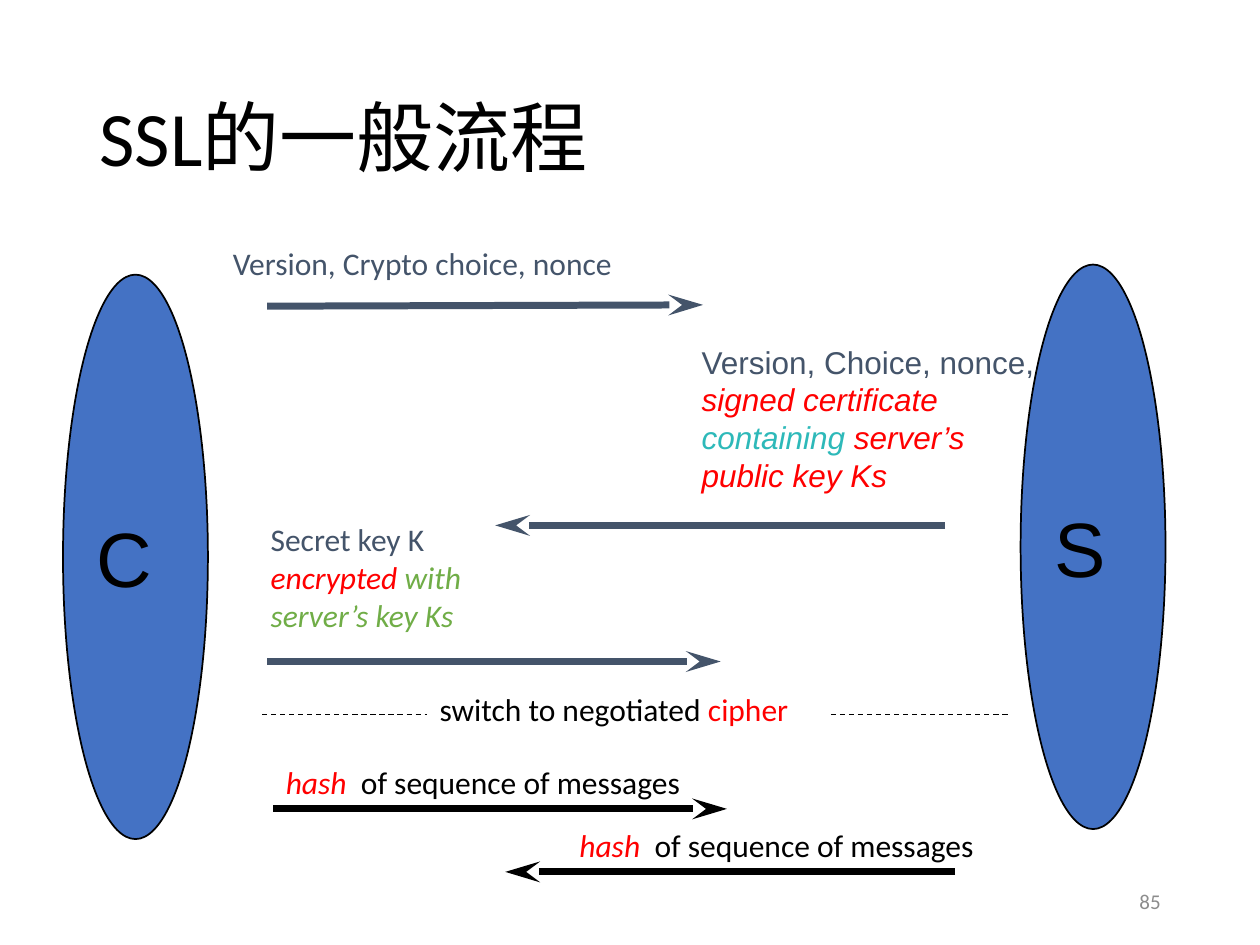
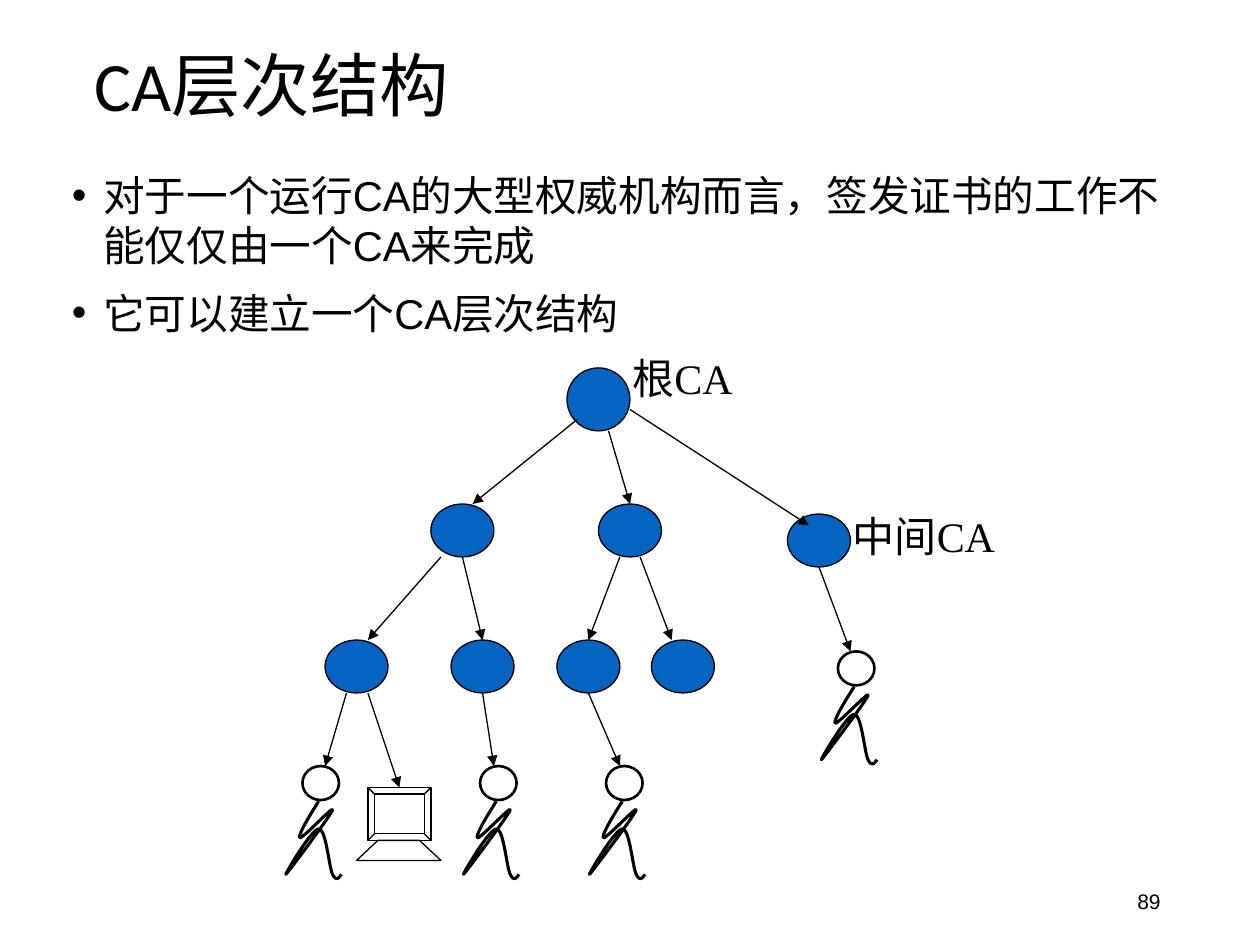
"""Build two slides: the SSL handshake and the CA hierarchy."""
import lxml.etree
import pptx
import pptx.dml.color
import pptx.enum.dml
import pptx.enum.shapes
import pptx.enum.text
import pptx.oxml.ns
import pptx.util

Inches = pptx.util.Inches
Pt = pptx.util.Pt
RGBColor = pptx.dml.color.RGBColor
SHAPE = pptx.enum.shapes.MSO_SHAPE
ALIGN = pptx.enum.text.PP_ALIGN
ANCHOR = pptx.enum.text.MSO_ANCHOR
FIT = pptx.enum.text.MSO_AUTO_SIZE
qn = pptx.oxml.ns.qn

BLACK = RGBColor(0x00, 0x00, 0x00)
WHITE = RGBColor(0xFF, 0xFF, 0xFF)
SLATE = RGBColor(0x44, 0x54, 0x6A)
RED = RGBColor(0xFF, 0x00, 0x00)
TEAL = RGBColor(0x2D, 0xB9, 0xB9)
GREEN = RGBColor(0x70, 0xAD, 0x47)
GRAY = RGBColor(0x8C, 0x8C, 0x8C)
BLUE = RGBColor(0x44, 0x72, 0xC4)
NAVY = RGBColor(0x05, 0x63, 0xC1)


def write(shape, lines, size, face, align=ALIGN.LEFT):
    """Fill a shape with lines, each a list of (text, colour, italic) runs."""
    frame = shape.text_frame
    for i, runs in enumerate(lines):
        para = frame.add_paragraph() if i else frame.paragraphs[0]
        para.alignment = align
        for text, color, slant in runs:
            run = para.add_run()
            run.text = text
            run.font.size = Pt(size)
            run.font.name = face
            run.font.italic = slant
            run.font.color.rgb = color
    return frame


def link(shapes, start, end, color, width, tip=None, length="med"):
    """Draw a straight line, with an arrowhead of type tip at its end."""
    line = shapes.add_connector(
        pptx.enum.shapes.MSO_CONNECTOR.STRAIGHT,
        *[Inches(v) for v in (*start, *end)])
    line.line.color.rgb = color
    line.line.width = Pt(width)
    props = line.element.spPr
    if tip:
        lxml.etree.SubElement(
            props.find(qn("a:ln")), qn("a:tailEnd"), type=tip, len=length)
    lxml.etree.SubElement(props, qn("a:effectLst"))
    return line


deck = pptx.Presentation()
deck.slide_width = Inches(10)
deck.slide_height = Inches(7.5)

pages = []
for layout, title, box, size, number, face, color in [
        (5, "SSL的一般流程", (0.69, 0.4, 8.62, 1.45), 44, "85", "Calibri", GRAY),
        (1, "CA层次结构", (0.65, 0.35, 8.5, 0.71), 39.6, "89", "Arial", BLACK)]:
    page = deck.slides.add_slide(deck.slide_layouts[layout])
    pages.append(page)
    head = page.shapes.title
    head.left, head.top, head.width, head.height = [Inches(v) for v in box]
    frame = write(head, [[(title, BLACK, False)]], size, "Calibri")
    frame.auto_size = FIT.NONE
    frame.vertical_anchor = ANCHOR.MIDDLE
    frame.paragraphs[0].line_spacing = 0.9
    foot = page.shapes.add_textbox(Inches(7.06), Inches(6.95), Inches(2.25), Inches(0.4))
    frame = write(foot, [[(number, color, False)]], 12, face, ALIGN.RIGHT)
    frame.word_wrap = True
    frame.vertical_anchor = ANCHOR.MIDDLE
flow, tree = pages

for name, left, top in [("C", 0.5, 2.18), ("S", 8.1, 2.1)]:
    peer = flow.shapes.add_shape(
        SHAPE.OVAL, Inches(left), Inches(top), Inches(1.15), Inches(4.48))
    peer.shadow.inherit = False
    peer.fill.solid()
    peer.fill.fore_color.rgb = BLUE
    peer.line.color.rgb = BLACK
    peer.line.width = Pt(1)
    frame = write(peer, [[(name, BLACK, False)]], 44, "Arial")
    frame.word_wrap = False
    frame.vertical_anchor = ANCHOR.MIDDLE

for start, end, color in [
        ((2.12, 2.43), (5.58, 2.42), SLATE),
        ((7.5, 4.17), (3.93, 4.17), SLATE),
        ((2.12, 5.25), (5.72, 5.25), SLATE),
        ((2.17, 6.42), (5.77, 6.42), BLACK),
        ((7.58, 6.92), (4.01, 6.92), BLACK)]:
    link(flow.shapes, start, end, color, 4, "stealth", "lg")
dash = link(flow.shapes, (2.08, 5.67), (8, 5.67), BLACK, 0.75)
dash.line.dash_style = pptx.enum.dml.MSO_LINE.DASH

hash_line = [[("hash  ", RED, True), ("of sequence of messages", BLACK, False)]]
for box, face, lines in [
        ((1.75, 1.89, 3.55, 0.4), "Calibri",
         [[("Version, Crypto choice, nonce", SLATE, False)]]),
        ((5.47, 2.67, 2.87, 1.49), "Arial",
         [[("Version, Choice, nonce,", SLATE, False)],
          [("signed certificate", RED, True)],
          [("containing ", TEAL, True), ("server’s", RED, True)],
          [("public key Ks", RED, True)]]),
        ((2.05, 4.08, 1.96, 1.13), "Calibri",
         [[("Secret key K", SLATE, False)],
          [("encrypted ", RED, True), ("with", GREEN, True)],
          [("server’s key Ks", GREEN, True)]]),
        ((3.39, 5.43, 3.19, 0.4), "Calibri",
         [[("switch to negotiated ", BLACK, False), ("cipher", RED, False)]]),
        ((2.17, 6.01, 3.69, 0.4), "Calibri", hash_line),
        ((4.5, 6.51, 3.69, 0.4), "Calibri", hash_line)]:
    note = flow.shapes.add_textbox(*[Inches(v) for v in box])
    frame = write(note, lines, 18, face)
    frame.word_wrap = False
    frame.auto_size = FIT.SHAPE_TO_FIT_TEXT
    if "switch" in frame.text:
        note.fill.solid()
        note.fill.fore_color.rgb = WHITE

body = tree.placeholders[1]
body.left, body.top, body.width, body.height = [
    Inches(v) for v in (0.47, 1.3, 8.97, 1.5)]
frame = write(body, [
    [("对于一个运行CA的大型权威机构而言，签发证书的工作不能仅仅由一个CA来完成", BLACK, False)],
    [("它可以建立一个CA层次结构", BLACK, False)]], 23.8, "Arial")
frame.auto_size = FIT.NONE
for i, para in enumerate(frame.paragraphs):
    props = para._p.get_or_add_pPr()
    props.set("marL", str(Inches(0.25)))
    props.set("indent", str(-Inches(0.25)))
    lxml.etree.SubElement(props, qn("a:buFont"), typeface="Arial")
    lxml.etree.SubElement(props, qn("a:buChar"), char="•")
    para.space_before = Pt(10 if i else 0)

chart = tree.shapes.add_group_shape().shapes
users = [(2.4, 6.08), (3.81, 6.08), (4.81, 6.08), (6.65, 5.17)]
nodes = [(4.5, 2.92, 0.5)]
nodes += [(x, y, 0.42) for x, y in [
    (3.42, 4), (4.75, 4), (6.25, 4.08),
    (2.58, 5.08), (3.58, 5.08), (4.42, 5.08), (5.17, 5.08)]]
parts = [(SHAPE.OVAL, x, y, 0.5, h, NAVY, 0.75) for x, y, h in nodes]
parts += [(SHAPE.OVAL, x, y, 0.29, 0.27, None, 1.5) for x, y in users]
parts += [(SHAPE.BEVEL, 2.92, 6.25, 0.5, 0.42, None, 0.75)]
for kind, x, y, w, h, fill, width in parts:
    part = chart.add_shape(kind, Inches(x), Inches(y), Inches(w), Inches(h))
    part.shadow.inherit = False
    if fill:
        part.fill.solid()
        part.fill.fore_color.rgb = fill
    else:
        part.fill.background()
    part.line.color.rgb = BLACK
    part.line.width = Pt(width)

limbs = [
    (0.13, 0.28),
    (0.04, 0.42), (-0.04, 0.56), (-0.02, 0.57),
    (0, 0.58), (0.26, 0.3), (0.24, 0.35),
    (0.22, 0.4), (-0.11, 0.84), (-0.13, 0.86),
    (-0.15, 0.88), (0.07, 0.5), (0.13, 0.5),
    (0.19, 0.5), (0.21, 0.8), (0.24, 0.86),
    (0.27, 0.92), (0.29, 0.89), (0.31, 0.86)]
stand = [(2.83, 6.83), (3, 6.67), (3.33, 6.67), (3.5, 6.83)]
drawn = [([(x + a, y + b) for a, b in limbs], 1.75, True) for x, y in users]
drawn.append((stand, 0.75, False))
for points, width, curved in drawn:
    spots = [(Inches(x), Inches(y)) for x, y in points]
    maker = chart.build_freeform(*spots[0])
    maker.add_line_segments(spots[1:], close=not curved)
    form = maker.convert_to_shape()
    form.shadow.inherit = False
    form.fill.background()
    form.line.color.rgb = BLACK
    form.line.width = Pt(width)
    if curved:
        steps = list(form.element.iter(qn("a:lnTo")))
        for i in range(0, len(steps), 3):
            outline = steps[i].getparent()
            curve = lxml.etree.SubElement(outline, qn("a:cubicBezTo"))
            for step in steps[i:i + 3]:
                curve.append(step[0])
                outline.remove(step)

for start, end in [
        ((4.58, 3.33), (3.75, 4)), ((4.83, 3.42), (5, 4)),
        ((5, 3.25), (6.42, 4.17)), ((3.5, 4.42), (2.92, 5.08)),
        ((3.67, 4.42), (3.83, 5.08)), ((5.08, 4.42), (5.33, 5.08)),
        ((4.92, 4.42), (4.67, 5.08)), ((6.5, 4.5), (6.75, 5.17)),
        ((2.75, 5.5), (2.58, 6.08)), ((3.83, 5.5), (3.92, 6.08)),
        ((2.92, 5.5), (3.17, 6.25)), ((4.67, 5.5), (4.92, 6.08))]:
    link(chart, start, end, BLACK, 0.75, "triangle")

for text, left, top in [("根CA", 4.92, 2.75), ("中间CA", 6.67, 4)]:
    label = chart.add_textbox(Inches(left), Inches(top), Inches(1.67), Inches(0.5))
    frame = write(label, [[(text, BLACK, False)]], 24, "Times New Roman")
    frame.word_wrap = True
    frame.auto_size = FIT.SHAPE_TO_FIT_TEXT

deck.save("out.pptx")
